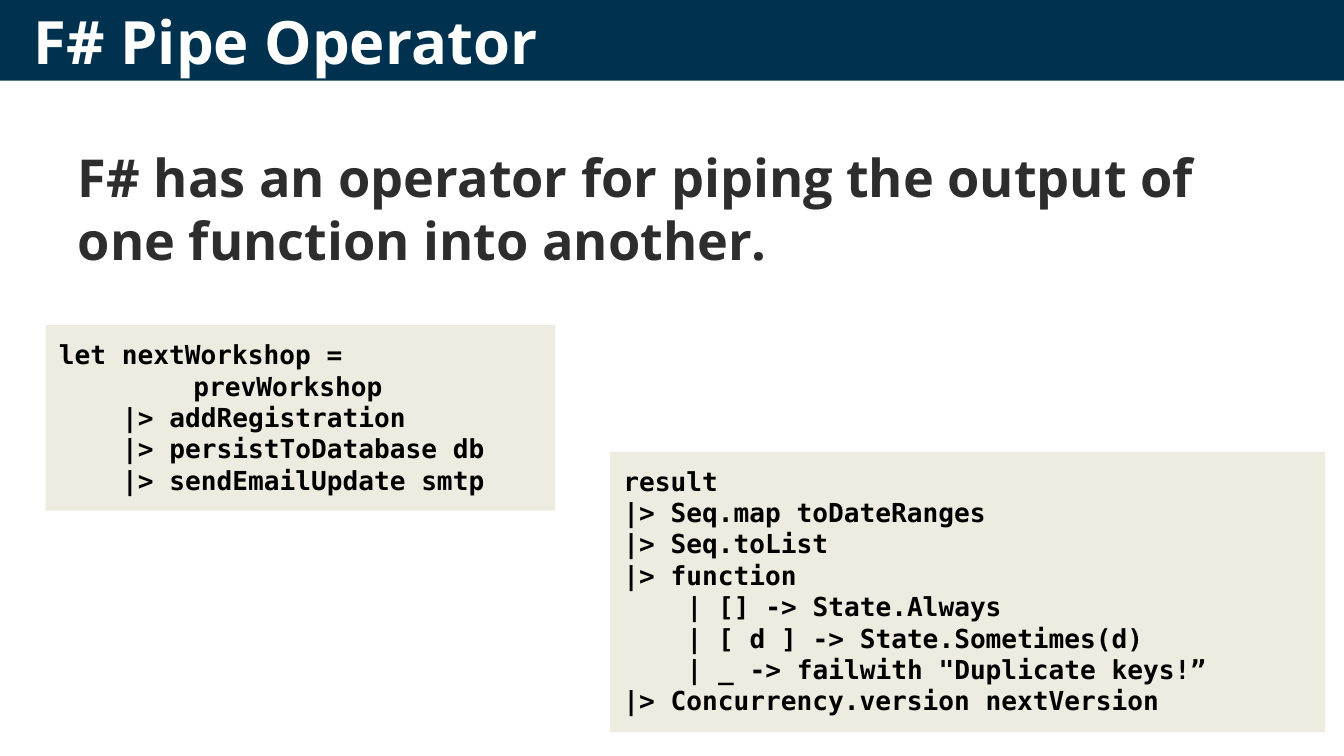
from pptx import Presentation
from pptx.dml.color import RGBColor
from pptx.enum.shapes import MSO_SHAPE
from pptx.enum.text import MSO_ANCHOR, MSO_AUTO_SIZE, PP_ALIGN
from pptx.oxml.ns import qn
from pptx.util import Inches, Pt

RECT = MSO_SHAPE.RECTANGLE
TOP, MIDDLE = MSO_ANCHOR.TOP, MSO_ANCHOR.MIDDLE
FIXED, GROW = MSO_AUTO_SIZE.NONE, MSO_AUTO_SIZE.SHAPE_TO_FIT_TEXT
LEFT = PP_ALIGN.LEFT

NAVY = RGBColor(0x00, 0x32, 0x4F)
WHITE = RGBColor(0xFF, 0xFF, 0xFF)
GREY = RGBColor(0x2D, 0x2D, 0x2D)
SAND = RGBColor(0xEE, 0xEC, 0xE1)
BLACK = RGBColor(0x00, 0x00, 0x00)
SANS = "Open Sans"
MONO = "DejaVu Sans Mono"
STEP = 0.47

PIPE = [
    (0, "let nextWorkshop ="),
    (1, "prevWorkshop"),
    (STEP, "|> addRegistration"),
    (STEP, "|> persistToDatabase db"),
    (STEP, "|> sendEmailUpdate smtp"),
]
MATCH = [
    (0, "result"),
    (0, "|> Seq.map toDateRanges"),
    (0, "|> Seq.toList"),
    (0, "|> function"),
    (STEP, "| [] -> State.Always"),
    (STEP, "| [ d ] -> State.Sometimes(d)"),
    (STEP, "| _ -> failwith \"Duplicate keys!”"),
    (0, "|> Concurrency.version nextVersion"),
]


def place(shape, box):
    shape.left, shape.top, shape.width, shape.height = map(Inches, box)


def set_frame(frame, anchor, fit):
    frame.word_wrap = True
    frame.auto_size = fit
    frame.vertical_anchor = anchor
    frame.margin_left = frame.margin_right = Inches(0.1)
    frame.margin_top = frame.margin_bottom = Inches(0.1)


def set_text(para, text, size, name, color, indent=0):
    para.text = text
    para.alignment = LEFT
    props = para._p.get_or_add_pPr()
    props.set("marL", str(Inches(indent)))
    props.set("indent", "0")
    for run in para.runs:
        font = run.font
        font.size, font.name, font.bold = Pt(size), name, True
        font.color.rgb = color


def add_rect(slide, box, color):
    rect = slide.shapes.add_shape(RECT, *map(Inches, box))
    rect.shadow.inherit = False
    rect.fill.solid()
    rect.fill.fore_color.rgb = color
    rect.line.fill.background()
    return rect


def add_header(slide, box, text):
    left, top, width, height = box
    band = add_rect(slide, box, NAVY)
    slide.shapes.element.insert(2, band.element)
    title = slide.shapes.title
    place(title, (left + 0.15, top + 0.08, width - 0.23, height - 0.15))
    set_frame(title.text_frame, MIDDLE, FIXED)
    set_text(title.text_frame.paragraphs[0], text, 32, SANS, WHITE)


def add_body(slide, box, text):
    body = slide.placeholders[1]
    place(body, box)
    set_frame(body.text_frame, TOP, FIXED)
    para = body.text_frame.paragraphs[0]
    set_text(para, text, 28, SANS, GREY)
    para.line_spacing = 1.0
    para.space_before, para.space_after = Pt(6), Pt(8)
    props = para._p.get_or_add_pPr()
    props.append(props.makeelement(qn("a:buNone"), {}))


def add_code(slide, box, lines):
    frame = add_rect(slide, box, SAND).text_frame
    set_frame(frame, TOP, GROW)
    frame.text = "\n".join(text for _, text in lines)
    for para, (indent, text) in zip(frame.paragraphs, lines):
        set_text(para, text, 14, MONO, BLACK, indent)


def main():
    deck = Presentation()
    deck.slide_width = Inches(10)
    deck.slide_height = deck.slide_width * 9 // 16
    slide = deck.slides.add_slide(deck.slide_layouts[1])
    add_header(slide, (0, 0, 10, 0.6), "F# Pipe Operator")
    add_body(slide, (0.48, 0.98, 9.11, 4.34),
             "F# has an operator for piping the output of one function into another.")
    add_code(slide, (0.34, 2.42, 3.79, 1.38), PIPE)
    add_code(slide, (4.54, 3.36, 5.32, 2.09), MATCH)
    deck.save("out.pptx")


if __name__ == "__main__":
    main()
